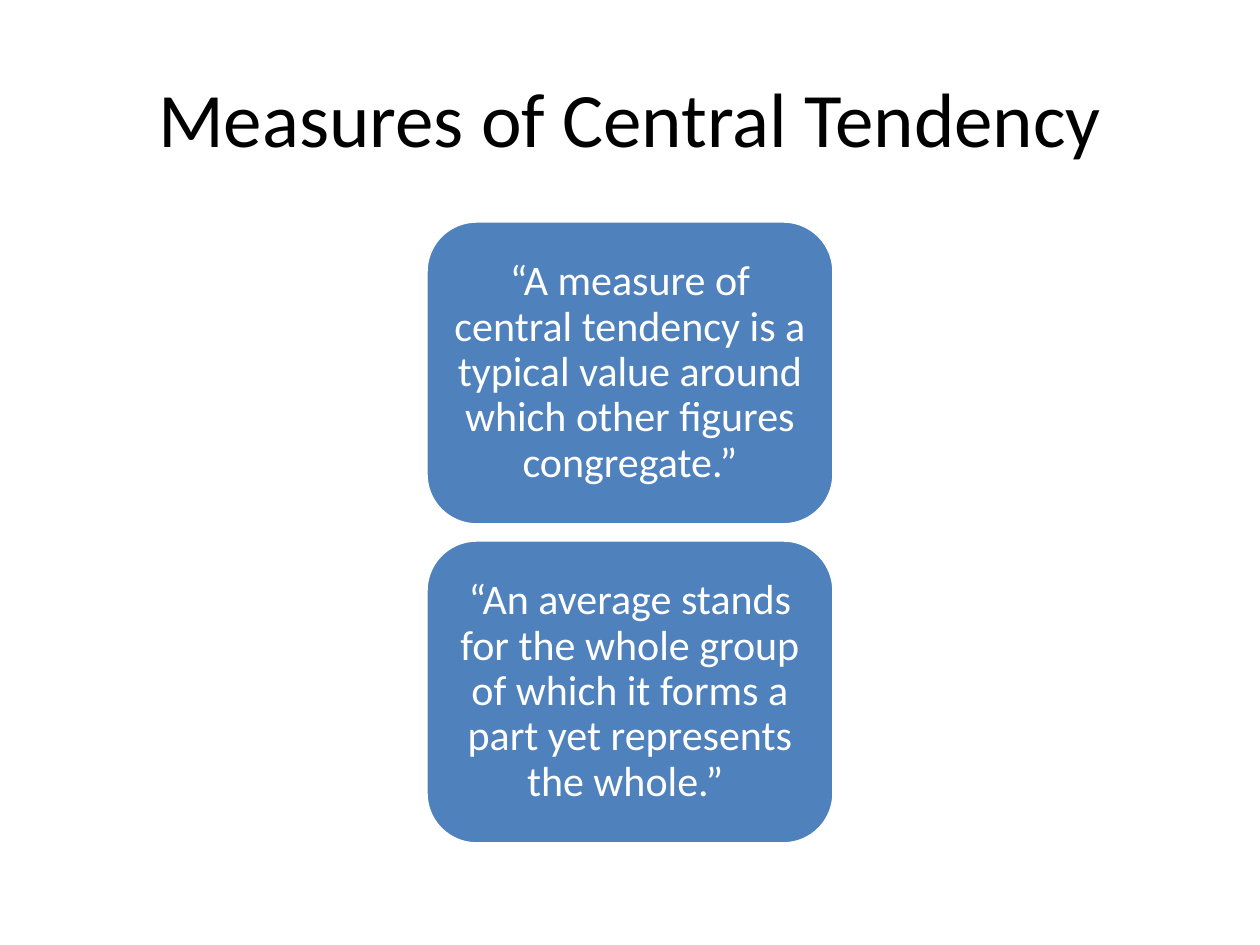
import pptx
import pptx.util
from pptx.dml.color import RGBColor
from pptx.enum.shapes import MSO_SHAPE
from pptx.enum.text import MSO_ANCHOR, PP_ALIGN

TITLE = "Measures of Central Tendency"
DEFINITIONS = [
    "“A measure of central tendency is a typical value around which other figures congregate.”",
    "“An average stands for the whole group of which it forms a part yet represents the whole.” ",
]
COLOURS = {"title": "000000", "card": "4F81BD", "white": "FFFFFF"}
FONT = "Calibri"

PX = 914400 // 126
SLIDE_WIDTH, SLIDE_HEIGHT = 1260, 945
TITLE_BOX = (63, 38, 1134, 157)
CARD_WIDTH, CARD_HEIGHT = 408, 304
CARD_TOP, CARD_GAP = 221, 15
CARD_MARGIN = 11


def px(length):
    return pptx.util.Emu(length * PX)


def colour(name):
    return RGBColor.from_string(COLOURS[name])


def place(shape, left, top, width, height):
    shape.left, shape.top = px(left), px(top)
    shape.width, shape.height = px(width), px(height)


def write(shape, text, size, colour_name):
    """Put one centred run of text in the middle of the shape."""
    frame = shape.text_frame
    frame.word_wrap = True
    frame.vertical_anchor = MSO_ANCHOR.MIDDLE
    paragraph = frame.paragraphs[0]
    paragraph.alignment = PP_ALIGN.CENTER
    run = paragraph.add_run()
    run.text = text
    run.font.name = FONT
    run.font.size = pptx.util.Pt(size)
    run.font.color.rgb = colour(colour_name)
    return paragraph


def add_card(slide, text, top):
    left = (SLIDE_WIDTH - CARD_WIDTH) // 2
    card = slide.shapes.add_shape(
        MSO_SHAPE.ROUNDED_RECTANGLE,
        px(left), px(top), px(CARD_WIDTH), px(CARD_HEIGHT))
    card.shadow.inherit = False
    card.fill.solid()
    card.fill.fore_color.rgb = colour("card")
    card.line.color.rgb = colour("white")
    card.line.width = pptx.util.Pt(2)
    frame = card.text_frame
    frame.margin_left = frame.margin_right = px(CARD_MARGIN)
    frame.margin_top = frame.margin_bottom = px(CARD_MARGIN)
    write(card, text, 24, "white").line_spacing = 0.9


def main():
    presentation = pptx.Presentation()
    presentation.slide_width = px(SLIDE_WIDTH)
    presentation.slide_height = px(SLIDE_HEIGHT)
    slide = presentation.slides.add_slide(presentation.slide_layouts[5])
    place(slide.shapes.title, *TITLE_BOX)
    write(slide.shapes.title, TITLE, 44, "title")
    for index, definition in enumerate(DEFINITIONS):
        add_card(slide, definition, CARD_TOP + index * (CARD_HEIGHT + CARD_GAP))
    presentation.save("out.pptx")


if __name__ == "__main__":
    main()
